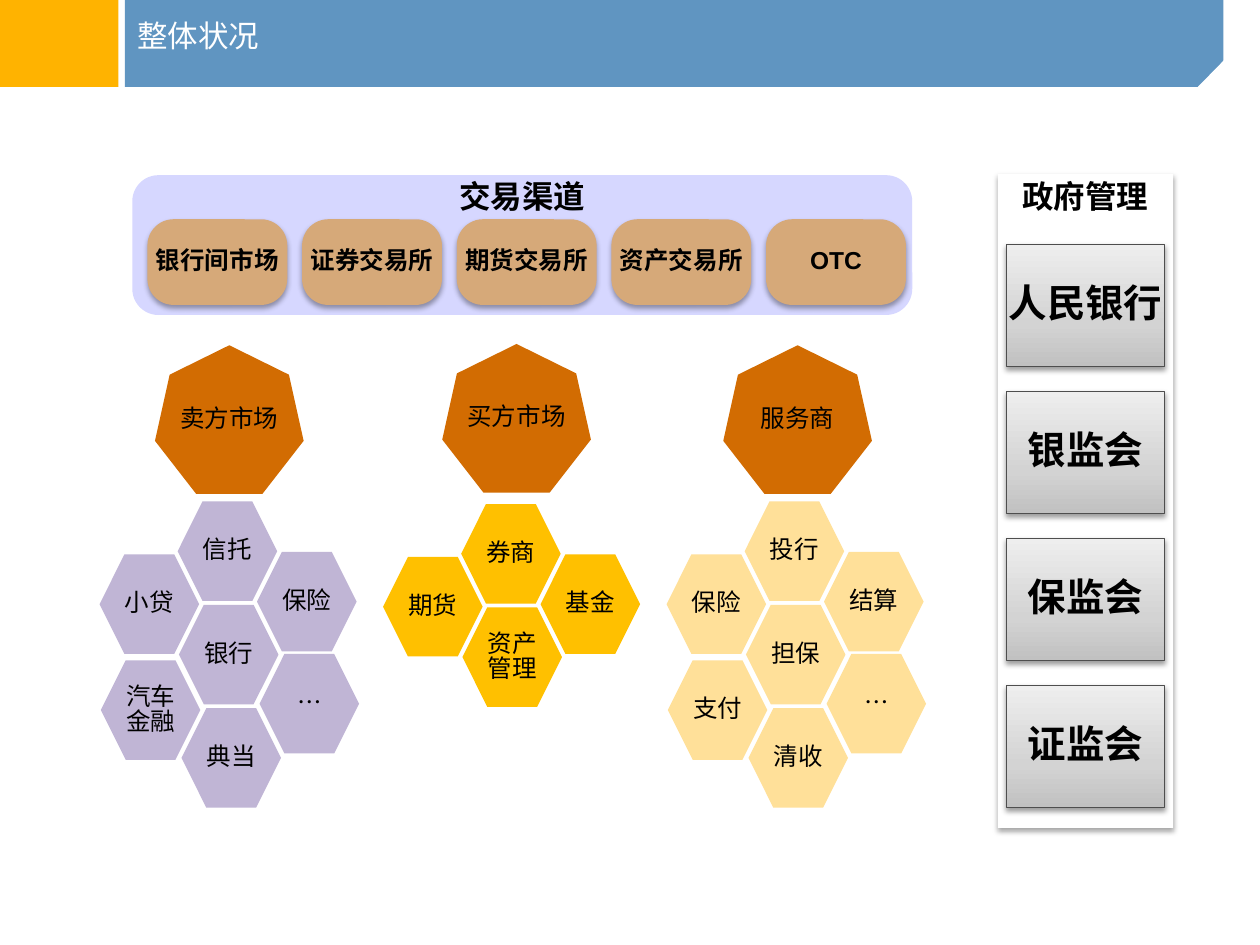
from lxml import etree
from pptx import Presentation
from pptx.dml.color import RGBColor
from pptx.enum.shapes import MSO_SHAPE as Shape
from pptx.enum.text import MSO_ANCHOR as Anchor, PP_ALIGN as Align
from pptx.oxml import parse_xml
from pptx.oxml.ns import nsdecls, qn
from pptx.util import Inches, Pt

CJK = "Noto Sans CJK SC"
BLACK = RGBColor(0x00, 0x00, 0x00)
WHITE = RGBColor(0xFF, 0xFF, 0xFF)
BLUE = RGBColor(0x60, 0x95, 0xC1)
AMBER = RGBColor(0xFF, 0xB3, 0x00)
ORANGE = RGBColor(0xD2, 0x6C, 0x02)
PURPLE = RGBColor(0xC0, 0xB5, 0xD5)
GOLD = RGBColor(0xFF, 0xC0, 0x00)
CREAM = RGBColor(0xFF, 0xE0, 0x99)
LAVENDER = RGBColor(0xD6, 0xD7, 0xFF)
TAN = RGBColor(0xD6, 0xA9, 0x79)
DARK_GRAY = RGBColor(0x4E, 0x4E, 0x4E)

GRADIENT = f"""<a:gradFill {nsdecls('a')} rotWithShape="1"><a:gsLst>
<a:gs pos="0"><a:srgbClr val="C1C1C1"/></a:gs>
<a:gs pos="35000"><a:srgbClr val="D3D3D3"/></a:gs>
<a:gs pos="100000"><a:srgbClr val="EEEEEE"/></a:gs>
</a:gsLst><a:lin ang="16200000" scaled="0"/></a:gradFill>"""


def write(box, text, size=14, font=CJK, color=BLACK, bold=False,
          align=Align.CENTER, anchor=Anchor.MIDDLE, inset=0, wrap=False):
    frame = box.text_frame
    frame.word_wrap = wrap
    frame.vertical_anchor = anchor
    frame.margin_left = frame.margin_right = Inches(inset)
    frame.margin_top = frame.margin_bottom = Inches(inset)
    for number, line in enumerate(text.split("\n")):
        para = frame.add_paragraph() if number else frame.paragraphs[0]
        para.alignment = align
        para.line_spacing = 0.85
        span = para.add_run()
        span.text = line
        span.font.size = Pt(size)
        span.font.bold = bold
        span.font.color.rgb = color
        span.font.name = font
        east_asian = etree.SubElement(span.font._element, qn("a:ea"))
        east_asian.set("typeface", CJK)


def add_box(parent, kind, left, top, width, height, fill=None, shadow=0):
    """Add a preset shape; no fill colour means the gray gradient."""
    box = parent.shapes.add_shape(
        kind, Inches(left), Inches(top), Inches(width), Inches(height))
    box.shadow.inherit = False
    box.line.fill.background()
    properties = box.element.spPr
    if fill is None:
        properties.insert(2, parse_xml(GRADIENT))
    else:
        box.fill.solid()
        box.fill.fore_color.rgb = fill
    if shadow:
        properties.find(qn("a:effectLst")).append(parse_xml(
            f'<a:outerShdw {nsdecls("a")} blurRad="{Pt(3)}" dist="{Pt(1.8)}" '
            f'dir="5400000" rotWithShape="0"><a:srgbClr val="000000">'
            f'<a:alpha val="{shadow * 1000}"/></a:srgbClr></a:outerShdw>'))
    return box


deck = Presentation()
deck.slide_width, deck.slide_height = Inches(10), Inches(7.5)
page = deck.slides.add_slide(deck.slide_layouts[5])

# Header band with a cut corner, behind the title
band = add_box(page, Shape.RECTANGLE, 0.99, 0, 8.72, 0.69, BLUE)
outline = page.shapes.build_freeform(Inches(9.83), Inches(0.82))
outline.add_line_segments([(Inches(9.38), Inches(0.82)),
                           (Inches(9.83), Inches(0.36))], close=True)
corner = outline.convert_to_shape()
corner.shadow.inherit = False
corner.fill.solid()
corner.fill.fore_color.rgb = WHITE
corner.line.fill.background()
accent = add_box(page, Shape.RECTANGLE, 0, 0, 0.94, 0.69, AMBER)

title = page.shapes.title
title.left, title.top = Inches(1.09), Inches(0.18)
title.width, title.height = Inches(8.3), Inches(0.31)
write(title, "整体状况", size=17.4, color=WHITE, align=Align.LEFT,
      anchor=Anchor.TOP, wrap=True)
for part in (band, corner, accent):
    title.element.addprevious(part.element)

# Market clusters: a heptagon above a honeycomb
SLOTS = {  # offsets from the cluster's left and top
    "upper left": (0, 0.42), "lower left": (0.01, 1.26),
    "upper right": (1.25, 0.4), "lower right": (1.27, 1.21),
    "center": (0.63, 0.82), "top": (0.62, 0), "bottom": (0.65, 1.64),
}
clusters = [
    ("买方市场", 3.04, 4, 3.51, 2.73, GOLD,
     ["期货", None, "基金", None, "资产\n管理", "券商", None]),
    ("服务商", 5.29, 3.98, 5.74, 2.74, CREAM,
     ["保险", "支付", "结算", "…", "担保", "投行", "清收"]),
    ("卖方市场", 0.79, 3.98, 1.23, 2.74, PURPLE,
     ["小贷", "汽车\n金融", "保险", "…", "银行", "信托", "典当"]),
]
for name, left, top, head_left, head_top, color, members in clusters:
    group = page.shapes.add_group_shape()
    head = add_box(group, Shape.HEPTAGON, head_left, head_top, 1.18, 1.18, ORANGE)
    write(head, name)
    for (across, down), member in zip(SLOTS.values(), members):
        if member:
            cell = add_box(group, Shape.HEXAGON, left + across, top + down,
                           0.79, 0.79, color)
            write(cell, member)

# Trading channels
panel = add_box(page, Shape.ROUNDED_RECTANGLE, 1.05, 1.39, 6.19, 1.11, LAVENDER)
panel.adjustments[0] = 0.187
channels = ["银行间市场", "证券交易所", "期货交易所", "资产交易所", "OTC"]
for number, channel in enumerate(channels):
    box = add_box(page, Shape.ROUNDED_RECTANGLE, 1.17 + 1.2275 * number, 1.74,
                  1.11, 0.68, TAN, shadow=35)
    box.adjustments[0] = 0.305
    write(box, channel, font="Arial", bold=True)

# Government regulators
add_box(page, Shape.RECTANGLE, 7.92, 1.38, 1.39, 5.19, WHITE, shadow=35)
for number, regulator in enumerate(["人民银行", "银监会", "保监会", "证监会"]):
    box = add_box(page, Shape.RECTANGLE, 7.99, 1.94 + 1.167 * number,
                  1.25, 0.97, shadow=38)
    box.line.color.rgb = DARK_GRAY
    box.line.width = Pt(0.75)
    write(box, regulator, size=22, font="Arial", bold=True)

# Panel headings
for heading, left in (("交易渠道", 3.59), ("政府管理", 8.06)):
    box = page.shapes.add_textbox(Inches(left), Inches(1.4), Inches(1.11), Inches(0.45))
    write(box, heading, size=18, font="Arial", bold=True,
          anchor=Anchor.TOP, inset=0.05)

deck.save("out.pptx")
